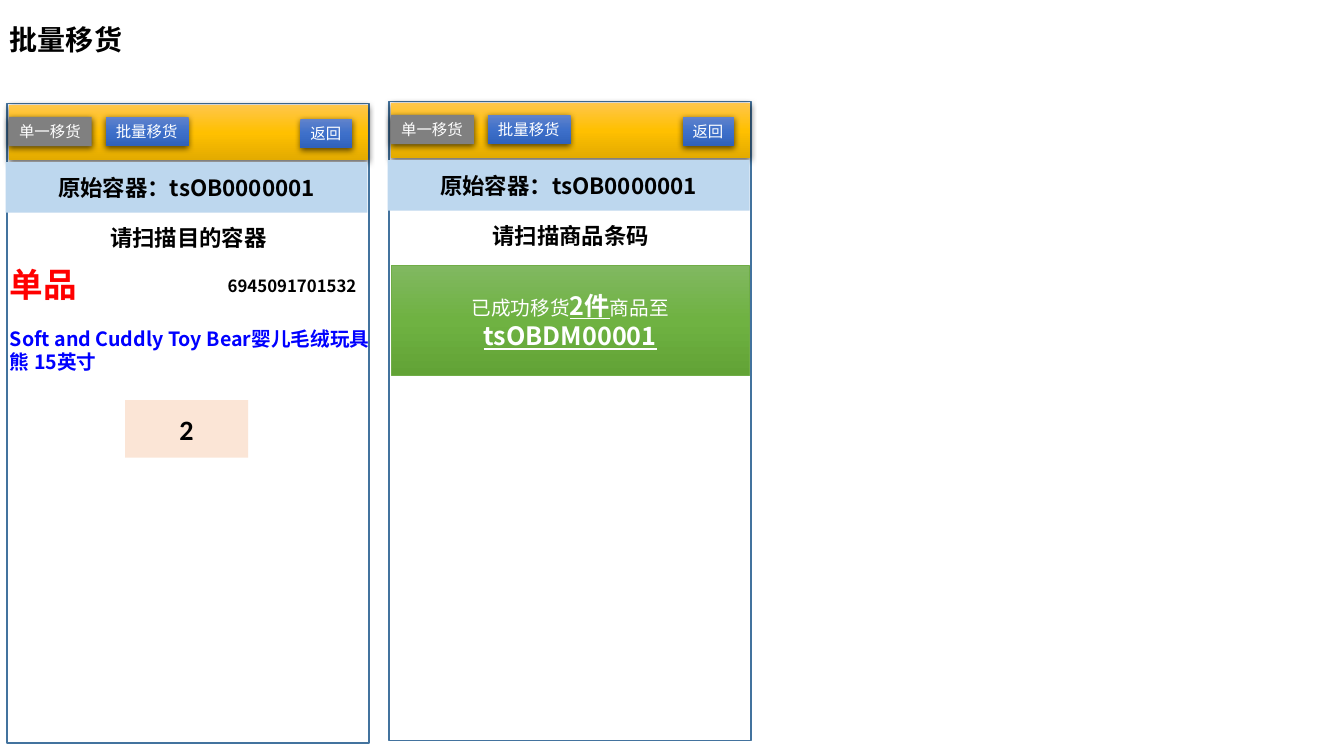
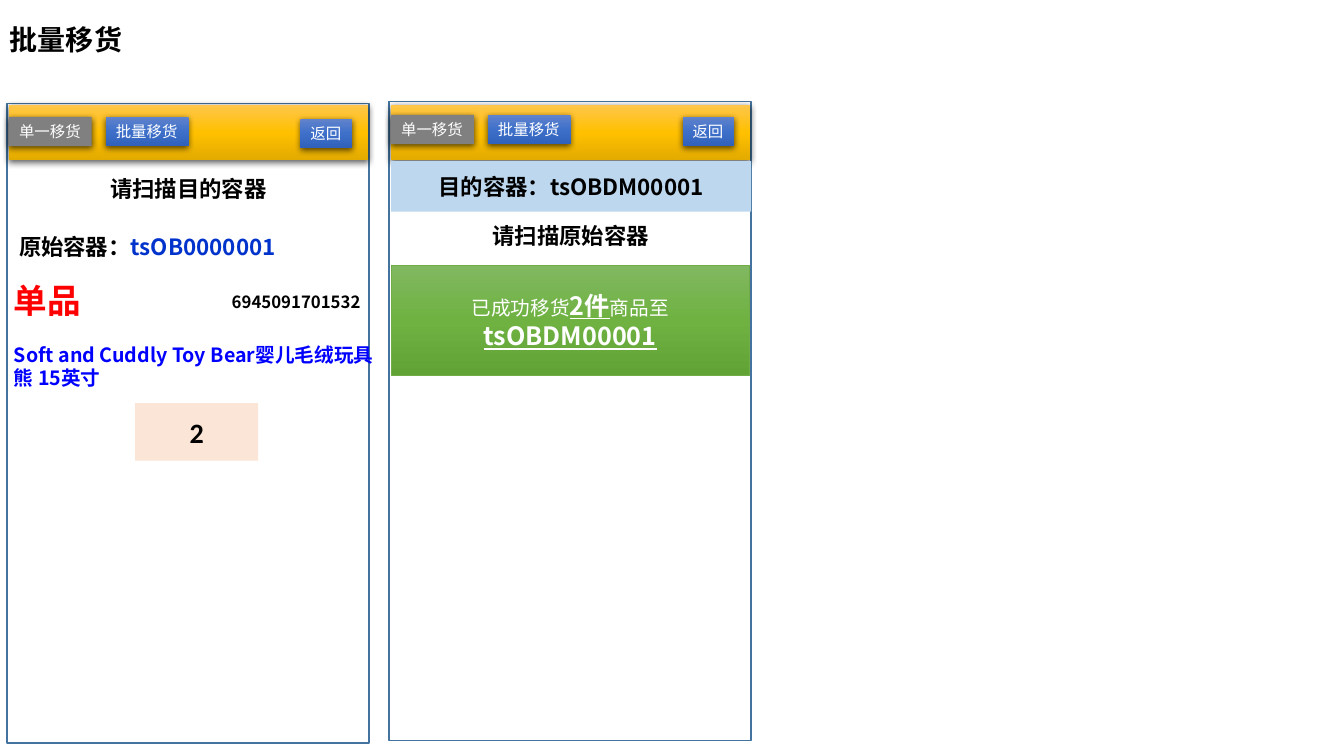
"""Builds two slides of handheld screens for moving goods in batches."""
import lxml.etree
import copy
import pptx
import pptx.dml.color
import pptx.enum.shapes
import pptx.enum.text
import pptx.oxml.ns
import pptx.util

Pt = pptx.util.Pt
qn = pptx.oxml.ns.qn
hue = pptx.dml.color.RGBColor.from_string
ALIGN = pptx.enum.text.PP_ALIGN
ANCHOR = pptx.enum.text.MSO_ANCHOR

FACE = "Noto Sans CJK SC"
GOLD = ("FFC64B", "FFC000", "E3AB00")
BLUE = ("6183CB", "3E70CA", "3062BB")
GREEN = ("81B861", "6FB242", "62A336")
GREY, SKY, PEACH, WHITE = "808080", "BDD7EE", "FBE5D6", "FFFFFF"

TITLE = {"size": Pt(20), "bold": True, "tone": "000000", "name": "Arial"}
COUNT = {**TITLE, "name": "Calibri"}
HEAD = {"size": Pt(16), "bold": True, "tone": "000000"}
LINK = {**HEAD, "tone": "0033CC"}
KEY = {"size": Pt(11), "tone": WHITE}
KIND = {"size": Pt(24), "bold": True, "tone": "FF0000"}
CODE = {"size": Pt(12), "bold": True, "tone": "000000"}
NAME = {"size": Pt(14), "bold": True, "tone": "0000FF"}
NOTE = {"size": Pt(14), "tone": WHITE}
LOUD = {"size": Pt(18), "bold": True, "underline": True, "tone": WHITE}

deck = pptx.Presentation()
deck.slide_width = pptx.util.Inches(13.33)
deck.slide_height = pptx.util.Inches(7.5)
CELL = deck.slide_height / 75


def box(slide, spot, lines=(), fill=None, edge=None, shade=False,
        align=ALIGN.CENTER, anchor=ANCHOR.MIDDLE, wrap=True):
    """Draw a box at a spot given in grid cells and write its lines."""
    area = [round(part * CELL) for part in spot]
    if fill:
        shape = slide.shapes.add_shape(pptx.enum.shapes.MSO_SHAPE.RECTANGLE, *area)
        shape.shadow.inherit = False
        if isinstance(fill, tuple):
            shape.fill.gradient()
            shape.fill.gradient_angle = 270
            stops = shape._element.spPr.find(".//" + qn("a:gsLst"))
            stops.append(copy.deepcopy(stops[0]))
            for step, stop in enumerate(shape.fill.gradient_stops):
                stop.color.rgb = hue(fill[step])
                stop.position = step / 2
        else:
            shape.fill.solid()
            shape.fill.fore_color.rgb = hue(fill)
        if edge:
            shape.line.color.rgb = hue(edge[0])
            shape.line.width = Pt(edge[1])
        else:
            shape.line.fill.background()
        if shade:
            glow = lxml.etree.SubElement(
                shape._element.spPr.find(qn("a:effectLst")), qn("a:outerShdw"),
                blurRad=str(Pt(4.5)), dist=str(Pt(1.5)), dir="5400000",
                algn="ctr", rotWithShape="0")
            black = lxml.etree.SubElement(glow, qn("a:srgbClr"), val="000000")
            lxml.etree.SubElement(black, qn("a:alpha"), val="63000")
    else:
        shape = slide.shapes.add_textbox(*area)
    frame = shape.text_frame
    frame.word_wrap = wrap
    frame.vertical_anchor = anchor
    for index, line in enumerate(lines):
        para = frame.add_paragraph() if index else frame.paragraphs[0]
        para.alignment = align
        for words, style in line:
            run = para.add_run()
            run.text = words
            look = {"name": FACE, **style}
            run.font.color.rgb = hue(look.pop("tone"))
            for key, value in look.items():
                setattr(run.font, key, value)
            lxml.etree.SubElement(run._r.get_or_add_rPr(), qn("a:ea"), typeface=look["name"])
    return shape


SOURCE = "原始容器：tsOB0000001"
PLANS = [
    {"bars": (0.1, 0.1),
     "bands": [(0, -0.15, 5.8, 35.9, SOURCE), (1, -0.15, 5.8, 35.9, SOURCE)],
     "asks": [(11.4, "请扫描目的容器"), (11.4, "请扫描商品条码")],
     "item": (0, 25.7), "count": (12.4, 39.7), "origin": False},
    {"bars": (0.1, 0.3),
     "bands": [(1, 0.2, 5.9, 35.7, "目的容器：tsOBDM00001")],
     "asks": [(6.6, "请扫描目的容器"), (11.4, "请扫描原始容器")],
     "item": (0.4, 27.3), "count": (13.4, 40), "origin": True},
]
PHONES = [(0.7, 10.3), (38.6, 10.1)]
KEYS = [(0.2, 1.3, 8.2, "单一移货", GREY), (9.8, 1.3, 8.2, "批量移货", BLUE),
        (29.1, 1.5, 5.1, "返回", BLUE)]
ITEM = [(0, 6.2, 37.8, 5.7, "Soft and Cuddly Toy Bear婴儿毛绒玩具熊 15英寸", NAME),
        (0, 0, 10.5, 5, "单品", KIND), (21.6, 1.2, 19.1, 3, "6945091701532", CODE)]

for plan in PLANS:
    slide = deck.slides.add_slide(deck.slide_layouts[6])
    title = box(slide, (0, 2.2, 115, 3.8), [[("批量移货", TITLE)]], align=ALIGN.LEFT)
    title.text_frame.paragraphs[0].line_spacing = 0.9

    for (x, y), drop, (down, ask) in zip(PHONES, plan["bars"], plan["asks"]):
        box(slide, (x, y, 35.9, 63.4), fill=WHITE, edge=("43739E", 1))
        box(slide, (x + 0.2, y + drop, 35.6, 5.5), fill=GOLD, shade=True)
        for dx, dy, wide, words, fill in KEYS:
            box(slide, (x + dx, y + dy, wide, 2.9), [[(words, KEY)]], fill, shade=True,
                align=ALIGN.LEFT, anchor=ANCHOR.TOP, wrap=False)
        box(slide, (x + 0.2, y + down, 35.6, 3.7), [[(ask, HEAD)]], anchor=ANCHOR.TOP)

    for phone, dx, dy, wide, words in plan["bands"]:
        x, y = PHONES[phone]
        box(slide, (x + dx, y + dy, wide, 5), [[(words, HEAD)]], SKY)

    box(slide, (38.8, 26.3, 35.5, 10.9),
        [[("已成功移货", NOTE), ("2件", LOUD), ("商品至", NOTE)], [("tsOBDM00001", LOUD)]],
        GREEN, ("70AD47", 0.5))

    x, y = plan["item"]
    for dx, dy, wide, high, words, style in ITEM:
        box(slide, (x + dx, y + dy, wide, high), [[(words, style)]],
            align=ALIGN.LEFT, anchor=ANCHOR.TOP)
    if plan["origin"]:
        box(slide, (0.9, 22, 35.9, 5), [[("原始容器：", HEAD), ("tsOB0000001", LINK)]],
            align=ALIGN.LEFT)
    box(slide, (*plan["count"], 12.2, 5.7), [[("2", COUNT)]], PEACH)

deck.save("out.pptx")
